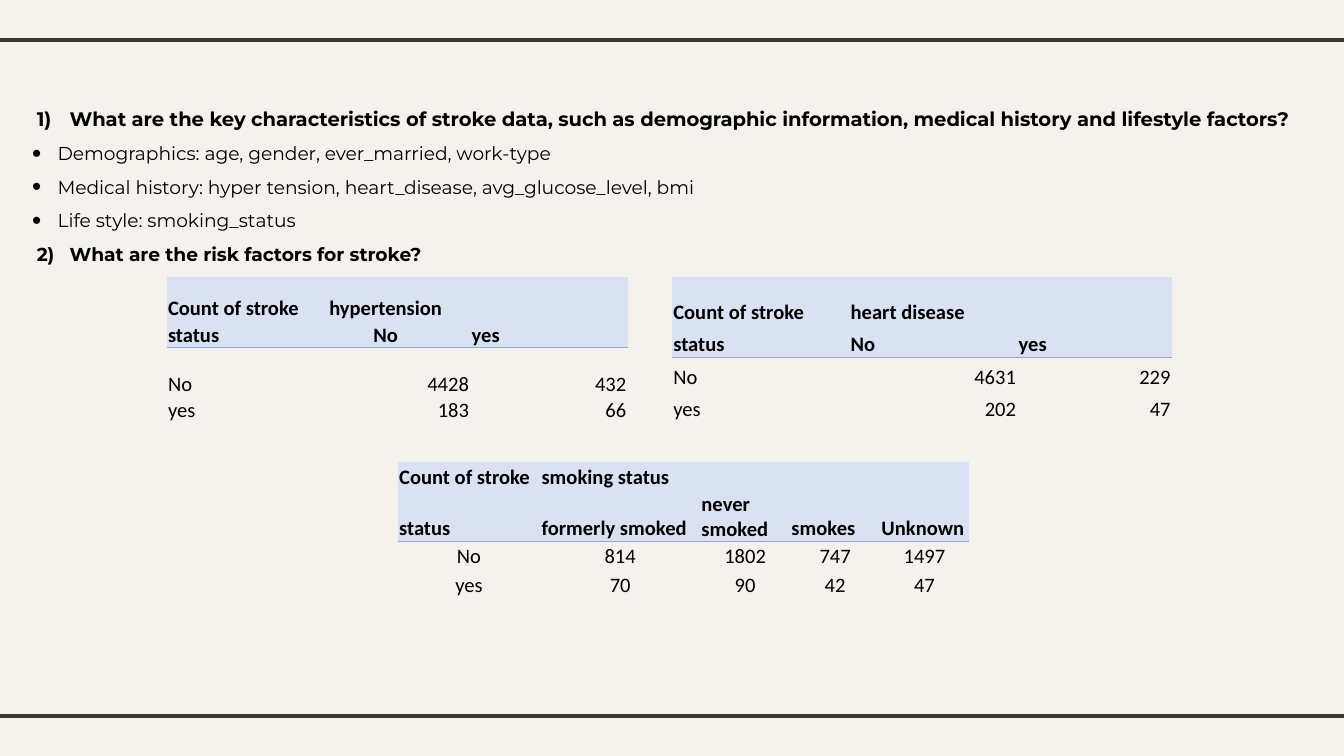
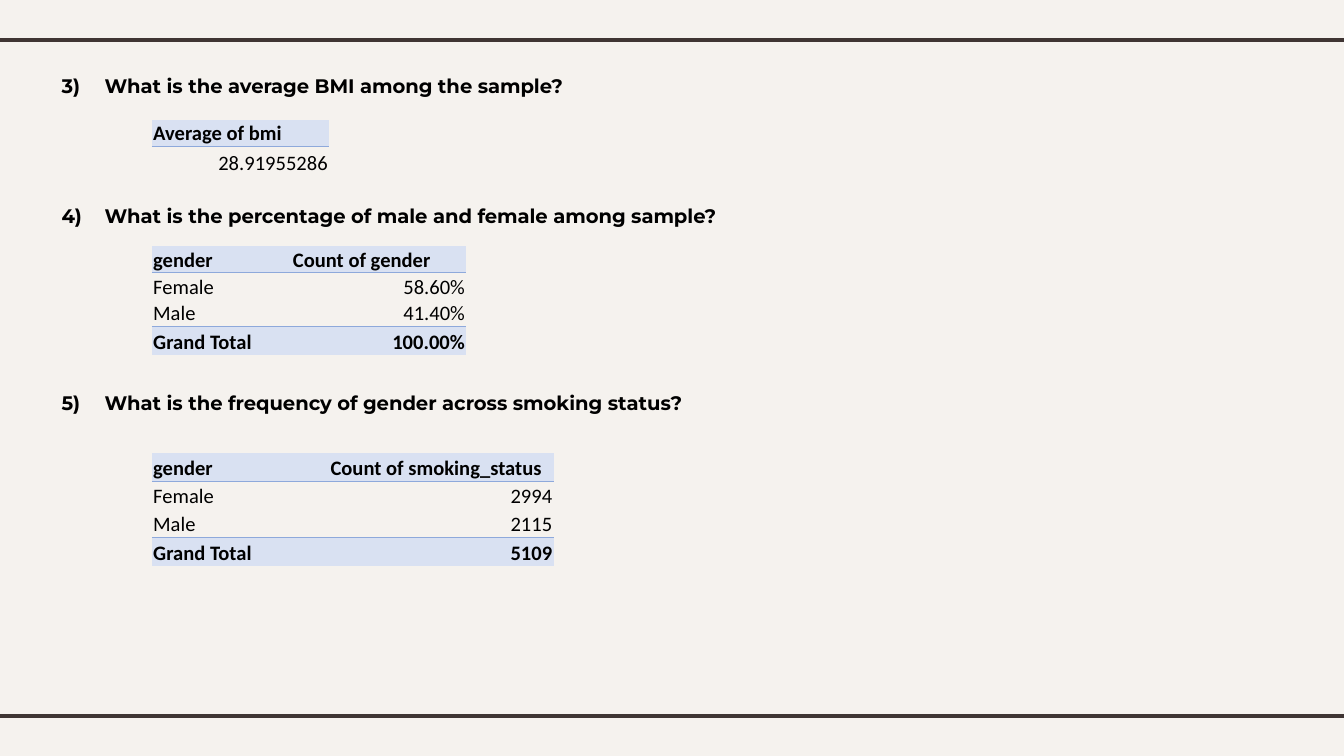
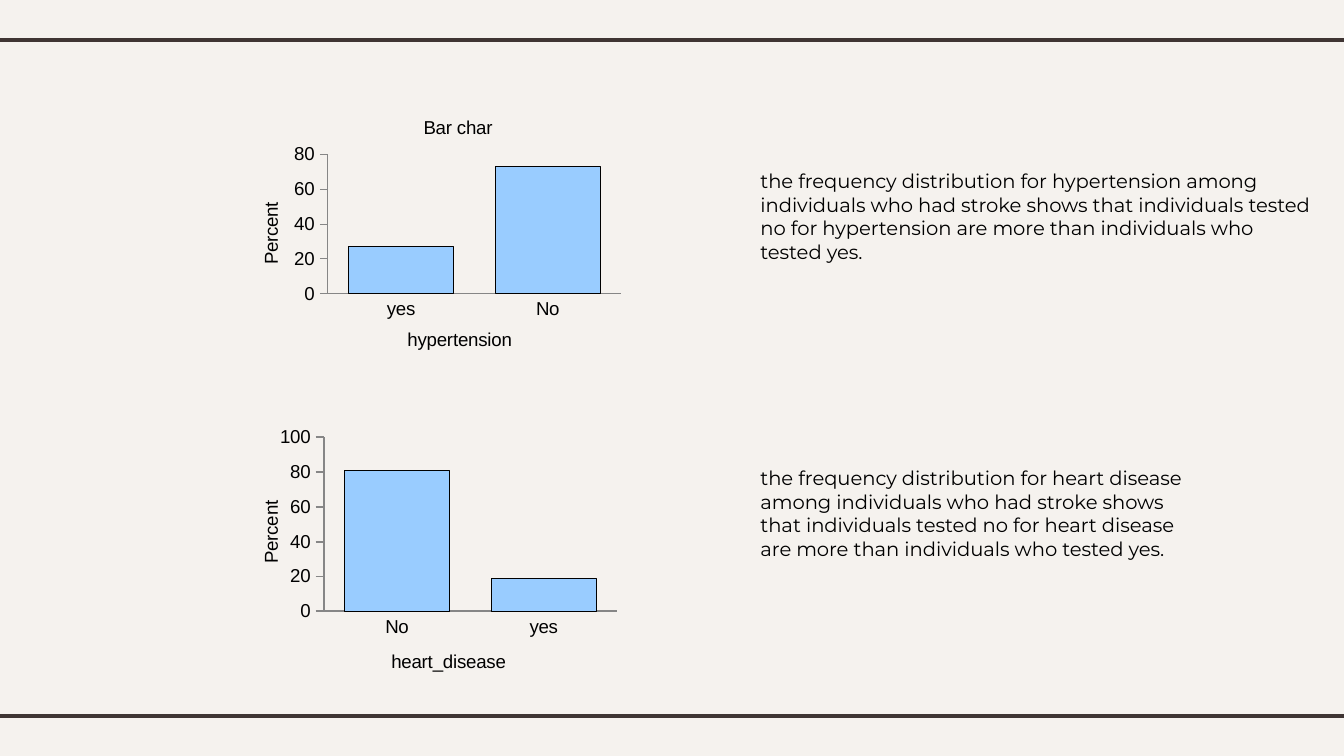
from dataclasses import dataclass

from lxml import etree
from pptx import Presentation
from pptx.chart.data import CategoryChartData
from pptx.dml.color import RGBColor
from pptx.enum.chart import XL_CHART_TYPE, XL_TICK_MARK
from pptx.enum.shapes import MSO_CONNECTOR
from pptx.enum.text import MSO_ANCHOR, PP_ALIGN
from pptx.oxml.ns import qn
from pptx.util import Emu, Inches, Pt

COLUMN = XL_CHART_TYPE.COLUMN_CLUSTERED
TICK_NONE, TICK_OUT = XL_TICK_MARK.NONE, XL_TICK_MARK.OUTSIDE
STRAIGHT = MSO_CONNECTOR.STRAIGHT
TOP, BOTTOM = MSO_ANCHOR.TOP, MSO_ANCHOR.BOTTOM
ALIGN = {"l": PP_ALIGN.LEFT, "c": PP_ALIGN.CENTER, "r": PP_ALIGN.RIGHT}
PLAIN_TABLE = "{2D5ABB26-0587-4C30-8999-92F81FD0307C}"
SLIDE_W, SLIDE_H = Inches(10), Inches(5.625)
GRID_COLS, GRID_ROWS = 100, 56.25


@dataclass(frozen=True)
class Theme:
    paper: str = "F5F2EE"
    band: str = "3F3533"
    ink: str = "000000"
    header: str = "D9E1F2"
    rule: str = "8EA9DB"
    bar: str = "99CCFF"
    axis: str = "868686"
    text_font: str = "Montserrat"
    table_font: str = "Calibri"
    chart_font: str = "Arial"
    question: float = 10.5
    bullet: float = 10
    table: float = 11
    chart: float = 10


THEME = Theme()


@dataclass(frozen=True)
class Box:
    col: float
    row: float
    cols: float
    rows: float

    def place(self) -> tuple:
        return across(self.col), down(self.row), across(self.cols), down(self.rows)


@dataclass(frozen=True)
class Line:
    text: str
    bullet: bool = False
    size: float = THEME.question
    before: float = 0
    spacing: float = 1.5


@dataclass(frozen=True)
class Outline:
    box: Box
    inset_top: float
    number_at: float
    text_at: float
    lines: tuple


@dataclass(frozen=True)
class Grid:
    col: float
    row: float
    widths: tuple
    heights: tuple
    cells: tuple
    head_align: str
    body_align: str
    head_rows: int = 1
    total: bool = False


@dataclass(frozen=True)
class Bars:
    box: Box
    plot: tuple
    cats: tuple
    vals: tuple
    top: int
    axis_width: float
    cat_title: tuple
    val_title: tuple
    title: tuple = ()


@dataclass(frozen=True)
class Remark:
    box: Box
    text: str


def across(cols: float) -> Emu:
    return Emu(round(SLIDE_W * cols / GRID_COLS))


def down(rows: float) -> Emu:
    return Emu(round(SLIDE_H * rows / GRID_ROWS))


def rgb(value: str) -> RGBColor:
    return RGBColor.from_string(value)


def style(font, name: str, size: float, bold: bool = False) -> None:
    font.name, font.size, font.bold = name, Pt(size), bold
    font.color.rgb = rgb(THEME.ink)


def child(parent, tag: str, **attrs: str):
    return etree.SubElement(parent, qn(tag), attrs)


def new_slide(prs):
    s = prs.slides.add_slide(prs.slide_layouts[6])
    s.background.fill.solid()
    s.background.fill.fore_color.rgb = rgb(THEME.paper)
    for row in (3, 53.3):
        band = s.shapes.add_connector(
            STRAIGHT, across(-0.8), down(row), across(100.8), down(row))
        band.line.color.rgb = rgb(THEME.band)
        band.line.width = Pt(2.25)
        child(band._element.spPr, "a:effectLst")
    return s


def indent(p, left: float, first: float) -> None:
    pPr = p._p.get_or_add_pPr()
    pPr.set("marL", str(across(left)))
    pPr.set("indent", str(across(first - left)))


def add_bullet(p) -> None:
    pPr = p._p.get_or_add_pPr()
    child(child(pPr, "a:buClr"), "a:srgbClr", val=THEME.ink)
    child(pPr, "a:buSzPct", val="140000")
    child(pPr, "a:buFont", typeface=THEME.chart_font)
    child(pPr, "a:buChar", char="•")


def draw_outline(s, outline: Outline) -> None:
    tf = s.shapes.add_textbox(*outline.box.place()).text_frame
    tf.word_wrap, tf.vertical_anchor = True, TOP
    tf.margin_left = tf.margin_right = tf.margin_bottom = across(1)
    tf.margin_top = down(outline.inset_top)
    for i, line in enumerate(outline.lines):
        p = tf.add_paragraph() if i else tf.paragraphs[0]
        p.text = line.text
        p.line_spacing = line.spacing
        if line.before:
            p.space_before = Pt(line.before)
        if line.bullet:
            indent(p, 1.9, 0)
            add_bullet(p)
        else:
            indent(p, outline.text_at, outline.number_at)
        style(p.runs[0].font, THEME.text_font, line.size, not line.bullet)


def set_borders(cell, ruled: set) -> None:
    tcPr = cell._tc.get_or_add_tcPr()
    for i, side in enumerate(("a:lnL", "a:lnR", "a:lnT", "a:lnB")):
        ln = etree.Element(qn(side), {"w": str(Pt(0.5))})
        if side in ruled:
            child(child(ln, "a:solidFill"), "a:srgbClr", val=THEME.rule)
        else:
            child(ln, "a:noFill")
        tcPr.insert(i, ln)


def fill_cell(cell, text: str, align: str, strong: bool) -> None:
    cell.margin_left = cell.margin_right = cell.margin_top = across(0.1)
    cell.margin_bottom = 0
    cell.vertical_anchor = BOTTOM
    if strong:
        cell.fill.solid()
        cell.fill.fore_color.rgb = rgb(THEME.header)
    else:
        cell.fill.background()
    p = cell.text_frame.paragraphs[0]
    if text:
        p.text = text
        p.alignment = ALIGN[align]
        style(p.runs[0].font, THEME.table_font, THEME.table, strong)
    else:
        child(p._p, "a:endParaRPr", sz=str(round(THEME.table * 100)))


def draw_grid(s, grid: Grid) -> None:
    box = Box(grid.col, grid.row, sum(grid.widths), sum(grid.heights))
    count = len(grid.heights)
    table = s.shapes.add_table(count, len(grid.widths), *box.place()).table
    table.first_row = table.horz_banding = False
    table._tbl.tblPr.find(qn("a:tableStyleId")).text = PLAIN_TABLE
    for column, width in zip(table.columns, grid.widths):
        column.width = across(width)
    rules = {grid.head_rows} | ({count - 1} if grid.total else set())
    for r, (height, texts) in enumerate(zip(grid.heights, grid.cells)):
        table.rows[r].height = down(height)
        head = r < grid.head_rows
        strong = head or grid.total and r == count - 1
        aligns = grid.head_align if head else grid.body_align
        ruled = {side for side, edge in (("a:lnT", r), ("a:lnB", r + 1)) if edge in rules}
        for c, (text, align) in enumerate(zip(texts, aligns)):
            cell = table.cell(r, c)
            fill_cell(cell, text, align, strong)
            set_borders(cell, ruled)


def set_layout(parent, **shares: float) -> None:
    for old in parent.findall(qn("c:layout")):
        parent.remove(old)
    layout = etree.Element(qn("c:layout"))
    manual = child(layout, "c:manualLayout")
    if "w" in shares:
        child(manual, "c:layoutTarget", val="inner")
    for key in ("x", "y"):
        child(manual, f"c:{key}Mode", val="edge")
    for key, share in shares.items():
        child(manual, f"c:{key}", val=str(share))
    parent.insert(0 if parent.find(qn("c:tx")) is None else 1, layout)


def set_title(title, text: str, x: float, y: float, upright: bool = False) -> None:
    tf = title.text_frame
    tf.text = text
    style(tf.paragraphs[0].runs[0].font, THEME.chart_font, THEME.chart)
    if upright:
        body = title._element.find(".//" + qn("a:bodyPr"))
        body.set("rot", "-5400000")
        body.set("vert", "horz")
    set_layout(title._element, x=x, y=y)


def draw_bars(s, bars: Bars) -> None:
    data = CategoryChartData(number_format="0")
    data.categories = bars.cats
    data.add_series("Series 1", bars.vals)
    chart = s.shapes.add_chart(COLUMN, *bars.box.place(), data).chart
    style(chart.font, THEME.chart_font, THEME.chart)
    chart.has_legend = False
    chart.has_title = bool(bars.title)
    if bars.title:
        set_title(chart.chart_title, *bars.title)

    plot = chart.plots[0]
    plot.gap_width, plot.vary_by_categories = 40, False
    fmt = plot.series[0].format
    fmt.fill.solid()
    fmt.fill.fore_color.rgb = rgb(THEME.bar)
    fmt.line.color.rgb = rgb(THEME.ink)
    fmt.line.width = Pt(0.25)

    cat, val = chart.category_axis, chart.value_axis
    for axis, tick in ((cat, TICK_NONE), (val, TICK_OUT)):
        axis.has_major_gridlines = False
        axis.major_tick_mark, axis.minor_tick_mark = tick, TICK_NONE
        axis.format.line.color.rgb = rgb(THEME.axis)
        axis.format.line.width = Pt(bars.axis_width)
        style(axis.tick_labels.font, THEME.chart_font, THEME.chart)
    val.minimum_scale, val.maximum_scale, val.major_unit = 0, bars.top, 20
    val.tick_labels.number_format = "0"
    val.tick_labels.number_format_is_linked = False
    set_title(cat.axis_title, *bars.cat_title)
    set_title(val.axis_title, *bars.val_title, upright=True)
    area = chart._chartSpace.find(".//" + qn("c:plotArea"))
    set_layout(area, **dict(zip("xywh", bars.plot)))


def draw_remark(s, remark: Remark) -> None:
    tf = s.shapes.add_textbox(*remark.box.place()).text_frame
    tf.word_wrap = True
    tf.text = remark.text
    style(tf.paragraphs[0].runs[0].font, THEME.text_font, THEME.question)


DRAW = {Outline: draw_outline, Grid: draw_grid, Bars: draw_bars, Remark: draw_remark}

RISK_FACTORS = (
    Outline(Box(1.4, 4.3, 96.9, 45.4), 2.8, 0.35, 2.8, (
        Line("1)\tWhat are the key characteristics of stroke data, such as demographic "
             "information, medical history and lifestyle factors?"),
        Line("Demographics: age, gender, ever_married, work-type", True, THEME.bullet),
        Line("Medical history: hyper tension, heart_disease, avg_glucose_level, bmi",
             True, THEME.bullet),
        Line("Life style: smoking_status", True, THEME.bullet),
        Line("2)\tWhat are the risk factors for stroke?", size=THEME.bullet))),
    Grid(12.4, 20.6, (10, 12.6, 11.7), (3.3, 1.8, 3.7, 1.8), (
        ("Count of stroke", "hypertension", ""),
        ("status", "No", "yes"),
        ("No", "4428", "432"),
        ("yes", "183", "66")), "lcl", "lrr", head_rows=2),
    Grid(50, 20.6, (13.2, 12.5, 11.5), (3.6, 2.4, 2.4, 2.4), (
        ("Count of stroke", "heart disease", ""),
        ("status", "No", "yes"),
        ("No", "4631", "229"),
        ("yes", "202", "47")), "lll", "lrr", head_rows=2),
    Grid(29.6, 34.4, (10.6, 11.9, 6.7, 6.7, 6.6), (2.1,) * 4, (
        ("Count of stroke", "smoking status", "", "", ""),
        ("status", "formerly smoked", "never smoked", "smokes", "Unknown"),
        ("No", "814", "1802", "747", "1497"),
        ("yes", "70", "90", "42", "47")), "lllll", "ccccc", head_rows=2),
)

SAMPLE_PROFILE = (
    Outline(Box(2, 3.6, 97, 48.9), 1, 1.6, 4.8, (
        Line("3)\tWhat is the average BMI among the sample?"),
        Line("4)\tWhat is the percentage of male and female among sample?", before=57, spacing=1),
        Line("5)\tWhat is the frequency of gender across smoking status?", before=88, spacing=1))),
    Grid(11.3, 8.9, (13.2,), (2, 2.2), (("Average of bmi",), ("28.91955286",)), "l", "r"),
    Grid(11.3, 18.3, (10.4, 13), (2, 2, 2, 2.1), (
        ("gender", "Count of gender"),
        ("Female", "58.60%"),
        ("Male", "41.40%"),
        ("Grand Total", "100.00%")), "ll", "lr", total=True),
    Grid(11.3, 33.7, (13.2, 16.7), (2.1, 2.1, 2.1, 2.1), (
        ("gender", "Count of smoking_status"),
        ("Female", "2994"),
        ("Male", "2115"),
        ("Grand Total", "5109")), "ll", "lr", total=True),
)

DISTRIBUTIONS = (
    Bars(Box(19, 7.3, 29.9, 20.8), (0.18, 0.2, 0.73, 0.5), ("yes", "No"), (27, 73), 80, 0.25,
         ("hypertension", 0.37, 0.81), ("Percent", 0, 0.36), ("Bar char", 0.41, 0.05)),
    Remark(Box(55.6, 12.1, 43.3, 8.1),
           "the frequency distribution for hypertension among individuals who had stroke shows "
           "that individuals tested no for hypertension are more than individuals who tested yes."),
    Bars(Box(19, 27.1, 29.9, 23.6), (0.17, 0.23, 0.73, 0.55), ("No", "yes"), (81, 19), 100, 1,
         ("heart_disease", 0.33, 0.89), ("Percent", 0, 0.42)),
    Remark(Box(55.6, 34.2, 34.1, 8.1),
           "the frequency distribution for heart disease among individuals who had stroke shows "
           "that individuals tested no for heart disease are more than individuals who tested yes."),
)


def main() -> None:
    prs = Presentation()
    prs.slide_width, prs.slide_height = SLIDE_W, SLIDE_H
    for items in (RISK_FACTORS, SAMPLE_PROFILE, DISTRIBUTIONS):
        s = new_slide(prs)
        for item in items:
            DRAW[type(item)](s, item)
    prs.save("out.pptx")


if __name__ == "__main__":
    main()
